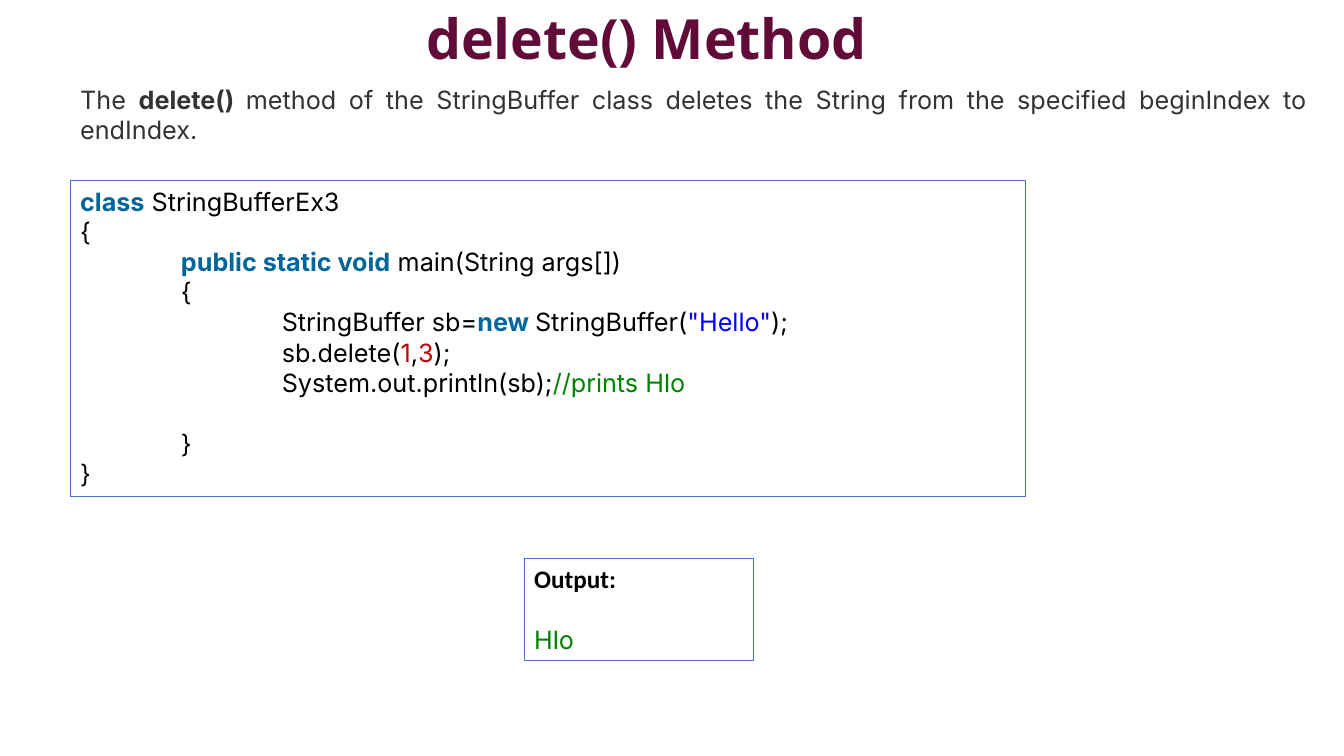
from pptx import Presentation
from pptx import util as u
from pptx.dml.color import RGBColor
from pptx.enum import shapes, text

COLORS = {
    "title": "610B38", "body": "333333", "code": "000000", "keyword": "006699",
    "string": "0000FF", "number": "C00000", "comment": "008200", "border": "4472C4",
}
LINE = 21.8
INDENT = 72


def color(name):
    return RGBColor.from_string(COLORS[name])


def write(tf, runs, first=False, font="Inter", size=18, ink="code", bold=(),
          align=text.PP_ALIGN.JUSTIFY, before=0, spacing=None, depth=0):
    p = tf.paragraphs[0] if first else tf.add_paragraph()
    p.alignment = align
    p.space_before = u.Pt(before)
    if spacing:
        p.line_spacing = spacing
    if depth:
        p._p.get_or_add_pPr().set("marL", str(u.Pt(INDENT * depth)))
    for content, kind in runs:
        r = p.add_run()
        r.text = content
        r.font.name = font
        r.font.size = u.Pt(size)
        r.font.bold = kind in bold
        r.font.color.rgb = color(kind if kind in COLORS else ink)


def text_area(s, box, anchor=text.MSO_ANCHOR.TOP):
    tf = s.shapes.add_textbox(*map(u.Pt, box)).text_frame
    tf.word_wrap = True
    tf.vertical_anchor = anchor
    return tf


def framed_area(s, box):
    sp = s.shapes.add_shape(shapes.MSO_SHAPE.RECTANGLE, *map(u.Pt, box))
    sp.shadow.inherit = False
    sp.fill.background()
    sp.line.color.rgb = color("border")
    sp.line.width = u.Pt(0.75)
    tf = sp.text_frame
    tf.word_wrap = True
    tf.vertical_anchor = text.MSO_ANCHOR.TOP
    return tf


def heading(s, box):
    tf = text_area(s, box, text.MSO_ANCHOR.MIDDLE)
    write(tf, [("delete() Method", "title")], first=True, font="Open Sans",
          size=39.6, bold=("title",), align=text.PP_ALIGN.CENTER, spacing=0.9)


def intro(s, box):
    write(text_area(s, box), [
        ("The ", "body"), ("delete() ", "strong"),
        ("method of the StringBuffer class deletes the String from the "
         "specified beginIndex to endIndex.", "body"),
    ], first=True, ink="body", bold=("strong",))


def code_listing(s, box):
    lines = [
        (0, [("class", "keyword"), (" StringBufferEx3", "code")]),
        (0, [("{", "code")]),
        (1, [("public static void", "keyword"), (" main(String args[])", "code")]),
        (1, [("{", "code")]),
        (2, [("StringBuffer sb=", "code"), ("new ", "keyword"),
             ("StringBuffer(", "code"), ('"Hello"', "string"), (");", "code")]),
        (2, [("sb.delete(", "code"), ("1", "number"), (",", "code"),
             ("3", "number"), (");", "code")]),
        (2, [("System.out.println(sb);", "code"), ("//prints Hlo", "comment")]),
        (1, [("}", "code")]),
        (0, [("}", "code")]),
    ]
    tf = framed_area(s, box)
    closing = len(lines) - 2
    for i, (depth, runs) in enumerate(lines):
        write(tf, runs, first=i == 0, bold=("keyword",), depth=depth,
              before=LINE if i == closing else 0)


def output_panel(s, box):
    tf = framed_area(s, box)
    left = text.PP_ALIGN.LEFT
    write(tf, [("Output:", "code")], first=True, font="Calibri",
          bold=("code",), align=left)
    write(tf, [("Hlo", "comment")], align=left, before=LINE)


def main():
    prs = Presentation()
    prs.slide_width, prs.slide_height = u.Pt(960), u.Pt(540)
    s = prs.slides.add_slide(prs.slide_layouts[6])
    heading(s, (31, 2.9, 861.8, 53.3))
    intro(s, (50.2, 56.6, 890.6, 51.1))
    code_listing(s, (50.2, 129.2, 682.4, 225.4))
    output_panel(s, (374.4, 398.9, 163.8, 72.7))
    prs.save("out.pptx")


if __name__ == "__main__":
    main()
